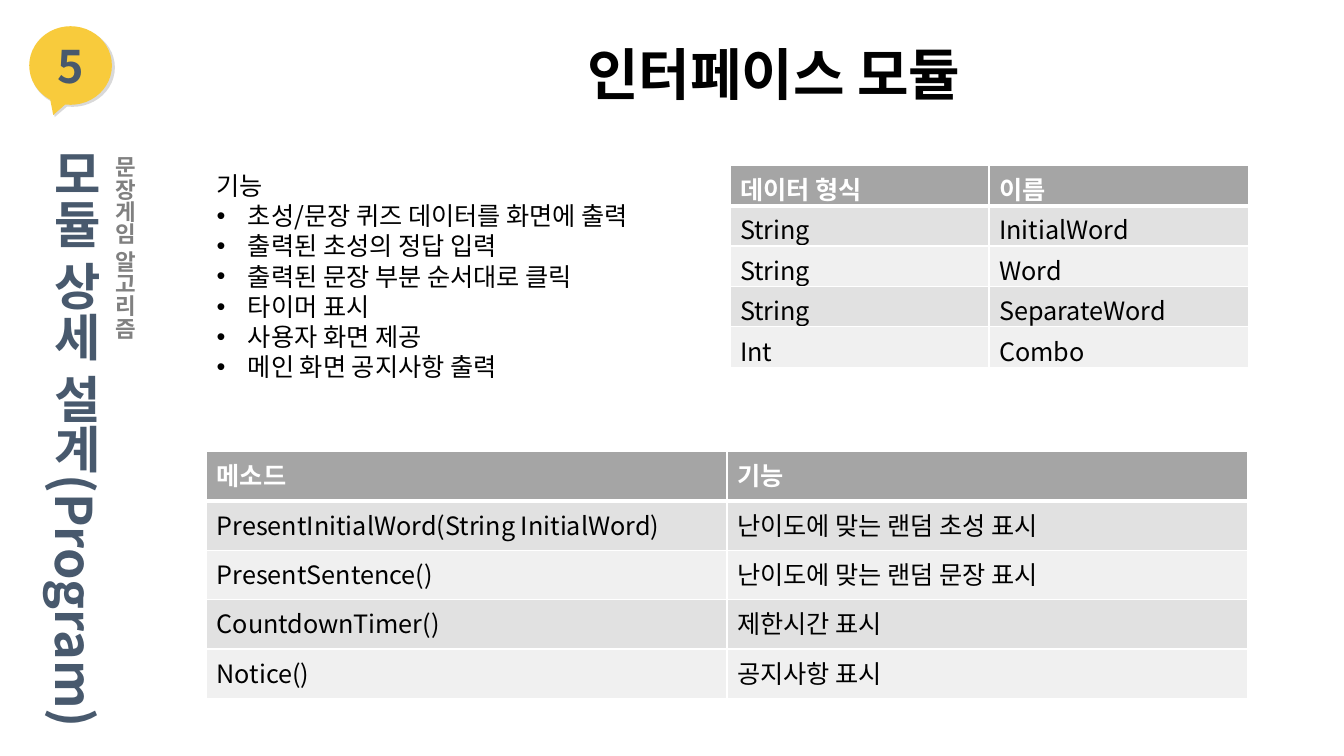
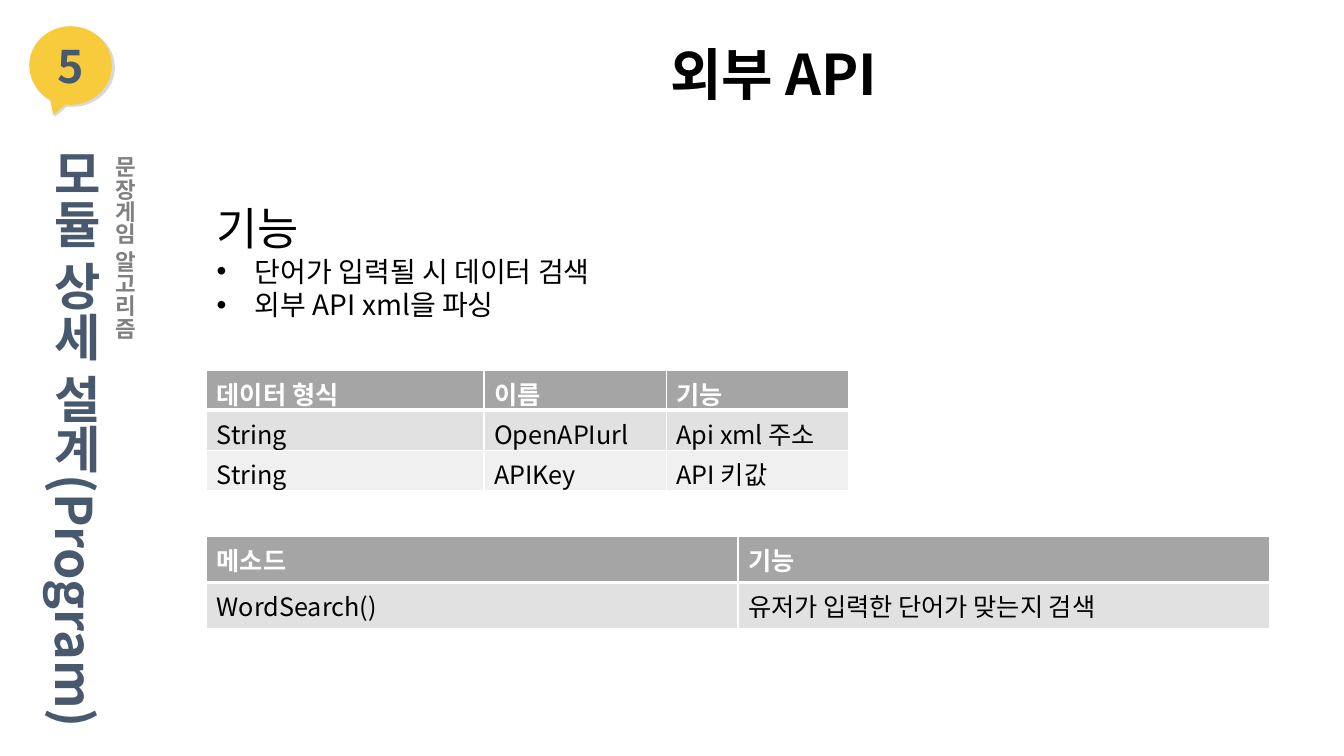
from dataclasses import dataclass

import pptx
import pptx.dml.color
import pptx.enum.shapes
import pptx.enum.text
import pptx.oxml.ns
import pptx.util
from lxml import etree

RGBColor = pptx.dml.color.RGBColor
PP_ALIGN = pptx.enum.text.PP_ALIGN
qn = pptx.oxml.ns.qn

PX = 9144  # EMU per px, 100 px to the inch
FONT = "Noto Sans CJK KR"

BLACK = RGBColor(0x00, 0x00, 0x00)
WHITE = RGBColor(0xFF, 0xFF, 0xFF)
NAVY = RGBColor(0x48, 0x59, 0x6D)
GRAY = RGBColor(0x80, 0x80, 0x80)
YELLOW = RGBColor(0xF8, 0xCB, 0x3C)
SHADE = RGBColor(0xD9, 0xD9, 0xD9)
HEADER = RGBColor(0xA5, 0xA5, 0xA5)
BANDS = (RGBColor(0xE1, 0xE1, 0xE1), RGBColor(0xF0, 0xF0, 0xF0))


@dataclass(frozen=True)
class Box:
    x: int
    y: int
    w: int
    h: int

    def emu(self) -> tuple[int, int, int, int]:
        return self.x * PX, self.y * PX, self.w * PX, self.h * PX


@dataclass(frozen=True)
class Style:
    size: int
    color: RGBColor = BLACK
    bold: bool = False


@dataclass(frozen=True)
class Features:
    box: Box
    heading_size: int
    item_size: int
    indent: int
    items: tuple[str, ...]


@dataclass(frozen=True)
class Grid:
    x: int
    y: int
    cols: tuple[int, ...]
    row_h: int
    rows: tuple[tuple[str, ...], ...]


@dataclass(frozen=True)
class Page:
    title: str
    features: Features
    grids: tuple[Grid, ...]


TITLE = Style(40, bold=True)
BADGE = Style(32, NAVY, True)
CHAPTER = Style(36, NAVY, True)
SUBJECT = Style(16, GRAY, True)
HEAD_CELL = Style(18, WHITE, True)
BODY_CELL = Style(18)

PAGES = (
    Page(
        "인터페이스 모듈",
        Features(Box(205, 164, 599, 222), 18, 18, 31, (
            "초성/문장 퀴즈 데이터를 화면에 출력",
            "출력된 초성의 정답 입력",
            "출력된 문장 부분 순서대로 클릭",
            "타이머 표시",
            "사용자 화면 제공",
            "메인 화면 공지사항 출력",
        )),
        (
            Grid(724, 164, (257, 257), 40, (
                ("데이터 형식", "이름"),
                ("String", "InitialWord"),
                ("String", "Word"),
                ("String", "SeparateWord"),
                ("Int", "Combo"),
            )),
            Grid(205, 448, (516, 516), 49, (
                ("메소드", "기능"),
                ("PresentInitialWord(String InitialWord)", "난이도에 맞는 랜덤 초성 표시"),
                ("PresentSentence()", "난이도에 맞는 랜덤 문장 표시"),
                ("CountdownTimer()", "제한시간 표시"),
                ("Notice()", "공지사항 표시"),
            )),
        ),
    ),
    Page(
        "외부 API",
        Features(Box(205, 194, 599, 131), 32, 20, 38, (
            "단어가 입력될 시 데이터 검색",
            "외부 API xml을 파싱",
        )),
        (
            Grid(205, 367, (275, 181, 181), 40, (
                ("데이터 형식", "이름", "기능"),
                ("String", "OpenAPIurl", "Api xml 주소"),
                ("String", "APIKey", "API 키값"),
            )),
            Grid(205, 532, (527, 527), 46, (
                ("메소드", "기능"),
                ("WordSearch()", "유저가 입력한 단어가 맞는지 검색"),
            )),
        ),
    ),
)


# Text
def add_run(p, text: str, style: Style) -> None:
    r = p.add_run()
    r.text = text
    r.font.size = pptx.util.Pt(style.size)
    r.font.bold = style.bold
    r.font.color.rgb = style.color
    r.font.name = FONT
    etree.SubElement(r._r.get_or_add_rPr(), qn("a:ea"), typeface=FONT)


def add_bullet(p, indent: int) -> None:
    pPr = p._p.get_or_add_pPr()
    pPr.set("marL", str(indent * PX))
    pPr.set("indent", str(-indent * PX))
    etree.SubElement(pPr, qn("a:buFont"), typeface="Arial")
    etree.SubElement(pPr, qn("a:buChar"), char="•")


def add_textbox(slide, box: Box, wrap: bool = True):
    tf = slide.shapes.add_textbox(*box.emu()).text_frame
    tf.word_wrap = wrap
    tf.auto_size = pptx.enum.text.MSO_AUTO_SIZE.SHAPE_TO_FIT_TEXT
    return tf


def add_vertical(slide, box: Box, text: str, style: Style, align: PP_ALIGN) -> None:
    tf = add_textbox(slide, box, wrap=False)
    tf._txBody.bodyPr.set("vert", "eaVert")
    p = tf.paragraphs[0]
    p.alignment = align
    add_run(p, text, style)


# Parts shared by the slides
def add_callout(group, box: Box, fill: RGBColor):
    kind = pptx.enum.shapes.MSO_SHAPE.OVAL_CALLOUT
    sp = group.shapes.add_shape(kind, *box.emu())
    sp.adjustments[0], sp.adjustments[1] = -0.21, 0.63
    sp.shadow.inherit = False
    sp.fill.solid()
    sp.fill.fore_color.rgb = fill
    sp.line.fill.background()
    return sp


def add_frame(slide, title: str) -> None:
    group = slide.shapes.add_group_shape()
    add_callout(group, Box(30, 28, 84, 78), SHADE)
    tf = add_callout(group, Box(29, 26, 82, 78), YELLOW).text_frame
    tf.vertical_anchor = pptx.enum.text.MSO_ANCHOR.MIDDLE
    tf.paragraphs[0].alignment = PP_ALIGN.CENTER
    add_run(tf.paragraphs[0], "5", BADGE)

    add_vertical(slide, Box(29, 138, 81, 577), "모듈 상세 설계(Program)", CHAPTER, PP_ALIGN.LEFT)
    add_vertical(slide, Box(93, 145, 49, 194), "문장게임 알고리즘", SUBJECT, PP_ALIGN.CENTER)

    p = add_textbox(slide, Box(487, 34, 561, 77)).paragraphs[0]
    p.alignment = PP_ALIGN.CENTER
    add_run(p, title, TITLE)


# Feature list
def add_features(slide, features: Features) -> None:
    tf = add_textbox(slide, features.box)
    add_run(tf.paragraphs[0], "기능", Style(features.heading_size))
    for item in features.items:
        p = tf.add_paragraph()
        add_bullet(p, features.indent)
        add_run(p, item, Style(features.item_size))


# Tables
def set_borders(cell, bottom: int) -> None:
    tcPr = cell._tc.get_or_add_tcPr()
    for side, width in (("L", 1), ("R", 1), ("T", 1), ("B", bottom)):
        ln = etree.SubElement(tcPr, qn(f"a:ln{side}"), w=str(pptx.util.Pt(width)))
        fill = etree.SubElement(ln, qn("a:solidFill"))
        etree.SubElement(fill, qn("a:srgbClr"), val=str(WHITE))


def add_grid(slide, grid: Grid) -> None:
    n = len(grid.rows)
    box = Box(grid.x, grid.y, sum(grid.cols), n * grid.row_h)
    table = slide.shapes.add_table(n, len(grid.cols), *box.emu()).table
    table.horz_banding = False
    for column, width in zip(table.columns, grid.cols):
        column.width = width * PX
    for i, texts in enumerate(grid.rows):
        head = i == 0
        for j, text in enumerate(texts):
            cell = table.cell(i, j)
            # The header's thick rule is also the top edge of the first body row
            set_borders(cell, 3 if head else 1)
            cell.fill.solid()
            cell.fill.fore_color.rgb = HEADER if head else BANDS[(i - 1) % 2]
            add_run(cell.text_frame.paragraphs[0], text, HEAD_CELL if head else BODY_CELL)


def main() -> None:
    prs = pptx.Presentation()
    prs.slide_width, prs.slide_height = 1333 * PX, 750 * PX
    for page in PAGES:
        slide = prs.slides.add_slide(prs.slide_layouts[6])
        add_frame(slide, page.title)
        add_features(slide, page.features)
        for grid in page.grids:
            add_grid(slide, grid)
    prs.save("out.pptx")


if __name__ == "__main__":
    main()
